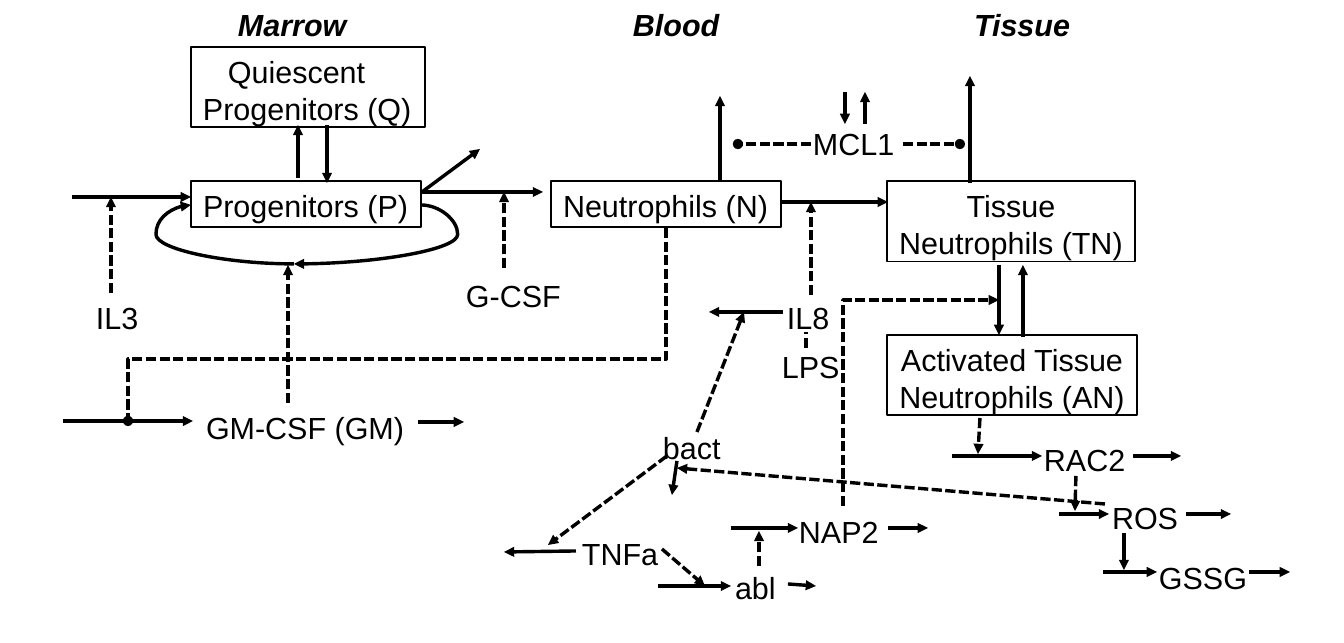
import pptx
import pptx.dml.color
import pptx.enum.dml
import pptx.enum.shapes
import pptx.enum.text
import pptx.oxml.ns
import pptx.oxml.xmlchemy
import pptx.util

BLACK = pptx.dml.color.RGBColor(0, 0, 0)
EMU_PER_PX = 914400 / 122
STRAIGHT = pptx.enum.shapes.MSO_CONNECTOR.STRAIGHT
CURVE = pptx.enum.shapes.MSO_CONNECTOR.CURVE
ELBOW = pptx.enum.shapes.MSO_CONNECTOR.ELBOW
LEFT = pptx.enum.text.PP_ALIGN.LEFT
CENTER = pptx.enum.text.PP_ALIGN.CENTER

LABEL_FONT = {"name": "Arial", "size": pptx.util.Pt(18)}
HEADING_FONT = {**LABEL_FONT, "bold": True, "italic": True}

# text, left, top, width
HEADINGS = [("Marrow", 226, 0, 140), ("Blood", 621, 0, 140), ("Tissue", 962, 0, 140)]
FACTORS = [
    ("IL3", 84, 293, 83), ("G-CSF", 454, 271, 130), ("GM-CSF (GM)", 194, 403, 235),
    ("MCL1", 801, 119, 120), ("IL8", 775, 293, 83), ("LPS", 770, 342, 90),
    ("bact", 651, 423, 117), ("TNFa", 570, 529, 117), ("abl", 723, 563, 75),
    ("NAP2", 787, 507, 111), ("RAC2", 1032, 435, 111), ("ROS", 1100, 493, 111),
    ("GSSG", 1147, 553, 130),
]

# lines of text, left, top, width, height, alignment, indent of the first line
CELL_POOLS = [
    (["Quiescent", "Progenitors (Q)"], 191, 47, 234, 80, LEFT, 25),
    (["Progenitors (P)"], 191, 181, 230, 46, LEFT, 0),
    (["Neutrophils (N)"], 551, 181, 230, 46, LEFT, 0),
    (["Tissue", "Neutrophils (TN)"], 887, 181, 248, 81, CENTER, 0),
    (["Activated Tissue", "Neutrophils (AN)"], 887, 335, 250, 80, CENTER, 0),
]

# start x, start y, end x, end y
FLOWS = [
    # Marrow
    (422, 192, 480, 149), (422, 192, 543, 192), (298, 178, 298, 125),
    (327, 125, 327, 183), (72, 197, 191, 197), (418, 422, 464, 422),
    (63, 421, 193, 421),
    # Blood and tissue
    (781, 202, 888, 202), (999, 265, 999, 335), (1023, 337, 1023, 265),
    (720, 182, 720, 96), (970, 183, 970, 76), (865, 124, 865, 92),
    (845, 92, 845, 124), (783, 312, 709, 312),
    # Signalling molecules
    (677, 461, 672, 495), (576, 551, 504, 552), (658, 586, 731, 586),
    (788, 584, 816, 586), (731, 528, 798, 528), (888, 528, 928, 528),
    (952, 456, 1042, 456), (1133, 456, 1181, 456), (1059, 514, 1109, 514),
    (1186, 514, 1231, 514), (1124, 533, 1124, 570), (1103, 572, 1157, 572),
    (1249, 572, 1290, 572),
]
STIMULATIONS = [
    (111, 293, 111, 197), (504, 268, 504, 192), (288, 403, 288, 265),
    (811, 295, 811, 202), (980, 418, 978, 454), (1076, 476, 1075, 511),
    (759, 566, 759, 531), (662, 549, 705, 586), (697, 432, 744, 312),
    (667, 456, 548, 545), (1105, 504, 677, 468),
]
INHIBITIONS = [(903, 144, 960, 144), (811, 144, 738, 144)]


def px(length):
    return pptx.util.Emu(round(length * EMU_PER_PX))


def apply_format(target, values):
    for name, value in values.items():
        setattr(target, name, value)


def write_lines(frame, lines, font, align=LEFT, wrap=True):
    apply_format(frame, {
        "word_wrap": wrap,
        "vertical_anchor": pptx.enum.text.MSO_ANCHOR.TOP,
        "margin_left": pptx.util.Inches(0.1), "margin_right": pptx.util.Inches(0.1),
        "margin_top": pptx.util.Inches(0.05), "margin_bottom": pptx.util.Inches(0.05),
    })
    for number, line in enumerate(lines):
        paragraph = frame.add_paragraph() if number else frame.paragraphs[0]
        paragraph.alignment = align
        run = paragraph.add_run()
        run.text = line
        apply_format(run.font, font)
        run.font.color.rgb = BLACK


def add_label(slide, text, left, top, width, font=LABEL_FONT):
    label = slide.shapes.add_textbox(px(left), px(top), px(width), px(46))
    write_lines(label.text_frame, [text], font)


def add_cell_pool(slide, lines, left, top, width, height, align, indent):
    pool = slide.shapes.add_shape(pptx.enum.shapes.MSO_SHAPE.RECTANGLE,
                                  px(left), px(top), px(width), px(height))
    pool.shadow.inherit = False
    pool.fill.background()
    pool.line.color.rgb = BLACK
    pool.line.width = pptx.util.Pt(0)
    write_lines(pool.text_frame, lines, LABEL_FONT, align, wrap=False)
    if indent:
        first_line = pool.text_frame.paragraphs[0]
        first_line._p.get_or_add_pPr().set("marL", str(px(indent)))


def append_element(parent, tag, **attributes):
    element = pptx.oxml.xmlchemy.OxmlElement(tag)
    for name, value in attributes.items():
        element.set(name, value)
    parent.append(element)


def add_link(slide, ends, kind=STRAIGHT, head="triangle", dashed=False, adjust=None):
    link = slide.shapes.add_connector(kind, *map(px, ends))
    link.line.color.rgb = BLACK
    link.line.width = pptx.util.Pt(0)
    if dashed:
        link.line.dash_style = pptx.enum.dml.MSO_LINE.SQUARE_DOT
    properties = link._element.spPr
    if head:
        append_element(properties.find(pptx.oxml.ns.qn("a:ln")), "a:tailEnd", type=head)
    append_element(properties, "a:effectLst")
    if adjust is not None:
        geometry = properties.find(pptx.oxml.ns.qn("a:prstGeom"))
        append_element(geometry.find(pptx.oxml.ns.qn("a:avLst")), "a:gd",
                       name="adj1", fmla=f"val {round(adjust * 100000)}")
    return link


def add_vertical_elbow(slide, ends, head, adjust=None):
    """Elbow that leaves its start vertically: a quarter turn about its centre."""
    x1, y1, x2, y2 = ends
    mid_x, mid_y = (x1 + x2) / 2, (y1 + y2) / 2
    turned = (mid_x + y1 - mid_y, mid_y - x1 + mid_x,
              mid_x + y2 - mid_y, mid_y - x2 + mid_x)
    elbow = add_link(slide, turned, ELBOW, head, True, adjust)
    properties = elbow._element.spPr
    properties.find(pptx.oxml.ns.qn("a:xfrm")).set("rot", "5400000")
    if adjust is None:
        properties.find(pptx.oxml.ns.qn("a:prstGeom")).set("prst", "bentConnector2")


def main():
    presentation = pptx.Presentation()
    presentation.slide_width = px(1344)
    presentation.slide_height = px(643)
    slide = presentation.slides.add_slide(presentation.slide_layouts[6])

    # Compartments and cell pools
    for heading in HEADINGS:
        add_label(slide, *heading, font=HEADING_FONT)
    for pool in CELL_POOLS:
        add_cell_pool(slide, *pool)

    # Flows, stimulation and inhibition
    for ends in FLOWS:
        add_link(slide, ends)
    for ends in STIMULATIONS:
        add_link(slide, ends, dashed=True)
    for ends in INHIBITIONS:
        add_link(slide, ends, head="oval", dashed=True)
    add_link(slide, (806, 348, 806, 332), head=None, dashed=True)

    # Self-renewal loop of the progenitors
    add_link(slide, (421, 205, 294, 264), CURVE, adjust=-0.29)
    add_link(slide, (294, 264, 191, 205), CURVE, adjust=1.34)

    # Feedback of neutrophils on GM-CSF, and NAP2 on activation
    add_vertical_elbow(slide, (666, 228, 128, 421), "oval", 0.68)
    add_vertical_elbow(slide, (843, 506, 999, 300), "triangle")

    # Factors
    for factor in FACTORS:
        add_label(slide, *factor)

    presentation.save("out.pptx")


if __name__ == "__main__":
    main()
